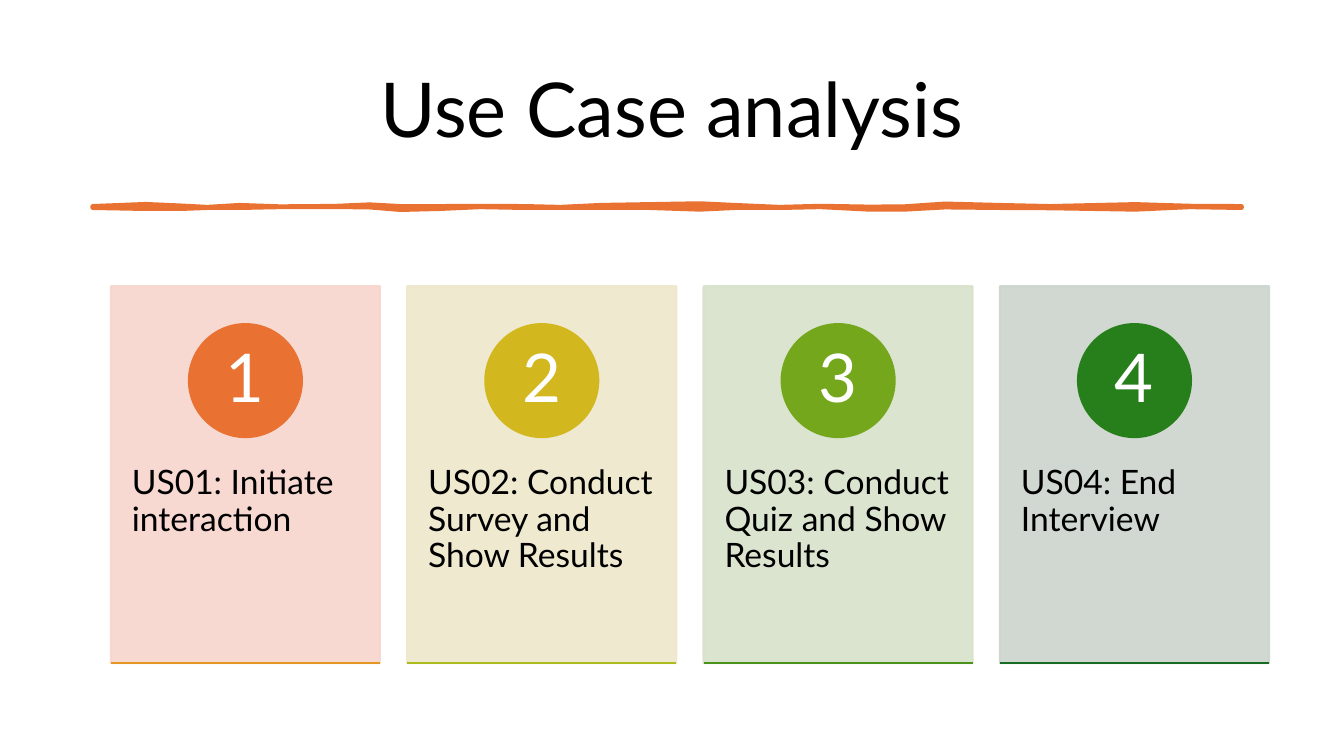
import pptx
import pptx.dml.color
import pptx.enum.shapes
import pptx.enum.text
import pptx.oxml.ns
import pptx.util
import lxml.etree

Pt = pptx.util.Pt
SHAPES = pptx.enum.shapes.MSO_SHAPE
ALIGN = pptx.enum.text.PP_ALIGN
ANCHOR = pptx.enum.text.MSO_ANCHOR
qn = pptx.oxml.ns.qn

COLORS = {
    "ink": "000000", "paper": "FFFFFF", "brush": "E97132",
    "card1": "F7D5CE", "card2": "EEE7CB", "card3": "D8E2CA", "card4": "CCD4CD",
    "badge1": "E97132", "badge2": "D2B81E", "badge3": "75A71D", "badge4": "277F1B",
    "base1": "E49622", "base2": "ABBC1E", "base3": "49931D", "base4": "196B24",
}
USE_CASES = [
    "US01: Initiate interaction",
    "US02: Conduct Survey and Show Results",
    "US03: Conduct Quiz and Show Results",
    "US04: End Interview",
]
BRUSH_EDGES = [
    (66.2, 147.4, 148.4), (104, 145.9, 149.1), (129, 147, 149.1), (148, 148, 148.4),
    (171, 146.6, 148.4), (200, 147.6, 147.8), (239, 147.3, 147.7), (264, 146.2, 148),
    (286, 147.4, 149.8), (314, 147.4, 149.1), (343, 147.2, 147.8), (375, 147.4, 148.4),
    (400, 148, 148.4), (429, 146.6, 148.4), (464, 146, 148.4), (500, 145.4, 149.6),
    (525, 146.6, 148.4), (557, 148, 148.4), (586, 147.2, 147.8), (621, 147.8, 149.6),
    (646, 147.6, 149.6), (675, 145.6, 148), (714, 146.6, 148.4), (750, 147.4, 148.6),
    (811, 146, 149.6), (850, 147.2, 147.8), (886.8, 147.4, 148.4),
]
CARD_LEFT, CARD_TOP, CARD_WIDTH, CARD_HEIGHT = 79.2, 204.5, 192.24, 269.2
CARD_PITCH = 211.68
BADGE_SIZE = 80.7


class SlideBuilder:
    font = "Lato"
    line_spacing = 0.9

    def __init__(self, page):
        self.page = page

    def color(self, name):
        return pptx.dml.color.RGBColor.from_string(COLORS[name])

    def apply(self, target, values):
        for name, value in values.items():
            setattr(target, name, value)

    def set_text(self, box, text, size, color, align, anchor, insets=(0, 0)):
        frame = box.text_frame
        side, end = map(Pt, insets)
        self.apply(frame, {
            "word_wrap": True, "vertical_anchor": anchor,
            "auto_size": pptx.enum.text.MSO_AUTO_SIZE.NONE,
            "margin_left": side, "margin_right": side,
            "margin_top": end, "margin_bottom": end,
        })
        para = frame.paragraphs[0]
        self.apply(para, {"alignment": align, "line_spacing": self.line_spacing})
        span = para.add_run()
        span.text = text
        self.apply(span.font, {"name": self.font, "size": Pt(size)})
        span.font.color.rgb = self.color(color)

    def paint(self, shape, color, line_width=1.5, opacity=100):
        shape.shadow.inherit = False
        shape.fill.solid()
        shape.line.width = Pt(line_width)
        for fill in (shape.fill.fore_color, shape.line.color):
            fill.rgb = self.color(color)
        if opacity < 100:
            for tint in shape._element.spPr.iter(qn("a:srgbClr")):
                alpha = lxml.etree.SubElement(tint, qn("a:alpha"))
                alpha.set("val", str(opacity * 1000))

    def title(self, text, left, top, width, height):
        box = self.page.shapes.title
        self.apply(box, {"left": Pt(left), "top": Pt(top),
                         "width": Pt(width), "height": Pt(height)})
        self.set_text(box, text, 54, "ink", ALIGN.CENTER, ANCHOR.MIDDLE, (7.2, 3.6))

    def brush_stroke(self, edges, color):
        outline = [(x, top) for x, top, bottom in edges]
        outline += [(x, bottom) for x, top, bottom in reversed(edges)]
        points = [(Pt(x), Pt(y)) for x, y in outline]
        builder = self.page.shapes.build_freeform(*points[0])
        builder.add_line_segments(points[1:], close=True)
        stroke = builder.convert_to_shape()
        self.paint(stroke, color, 3.25)
        outline_xml = stroke._element.spPr.find(qn("a:ln"))
        lxml.etree.SubElement(outline_xml, qn("a:round"))

    def shape(self, kind, left, top, width, height, color, opacity=100):
        shape = self.page.shapes.add_shape(kind, Pt(left), Pt(top), Pt(width), Pt(height))
        self.paint(shape, color, opacity=opacity)
        return shape

    def text_box(self, text, left, top, width, height):
        box = self.page.shapes.add_textbox(Pt(left), Pt(top), Pt(width), Pt(height))
        self.set_text(box, text, 24, "ink", ALIGN.LEFT, ANCHOR.TOP, (15, 26))

    def rule(self, left, top, width, color):
        line = self.page.shapes.add_connector(
            pptx.enum.shapes.MSO_CONNECTOR.STRAIGHT,
            Pt(left), Pt(top), Pt(left + width), Pt(top))
        line.line.width = Pt(1.5)
        line.line.color.rgb = self.color(color)
        lxml.etree.SubElement(line._element.spPr, qn("a:effectLst"))

    def card(self, number, text):
        left = CARD_LEFT + (number - 1) * CARD_PITCH
        self.shape(SHAPES.RECTANGLE, left, CARD_TOP, CARD_WIDTH, CARD_HEIGHT,
                   f"card{number}", 90)
        self.text_box(text, left, CARD_TOP + 102.2, CARD_WIDTH, 162)
        badge = self.shape(SHAPES.OVAL, left + (CARD_WIDTH - BADGE_SIZE) / 2,
                           CARD_TOP + 27, BADGE_SIZE, BADGE_SIZE, f"badge{number}")
        self.set_text(badge, str(number), 48, "paper", ALIGN.CENTER, ANCHOR.MIDDLE, (6.5, 0.7))
        self.rule(left, CARD_TOP + CARD_HEIGHT, CARD_WIDTH, f"base{number}")


def main():
    deck = pptx.Presentation()
    deck.slide_width, deck.slide_height = Pt(960), Pt(540)
    builder = SlideBuilder(deck.slides.add_slide(deck.slide_layouts[5]))
    builder.title("Use Case analysis", 66, 28.8, 828, 104.4)
    builder.brush_stroke(BRUSH_EDGES, "brush")
    for number, text in enumerate(USE_CASES, 1):
        builder.card(number, text)
    deck.save("out.pptx")


if __name__ == "__main__":
    main()
